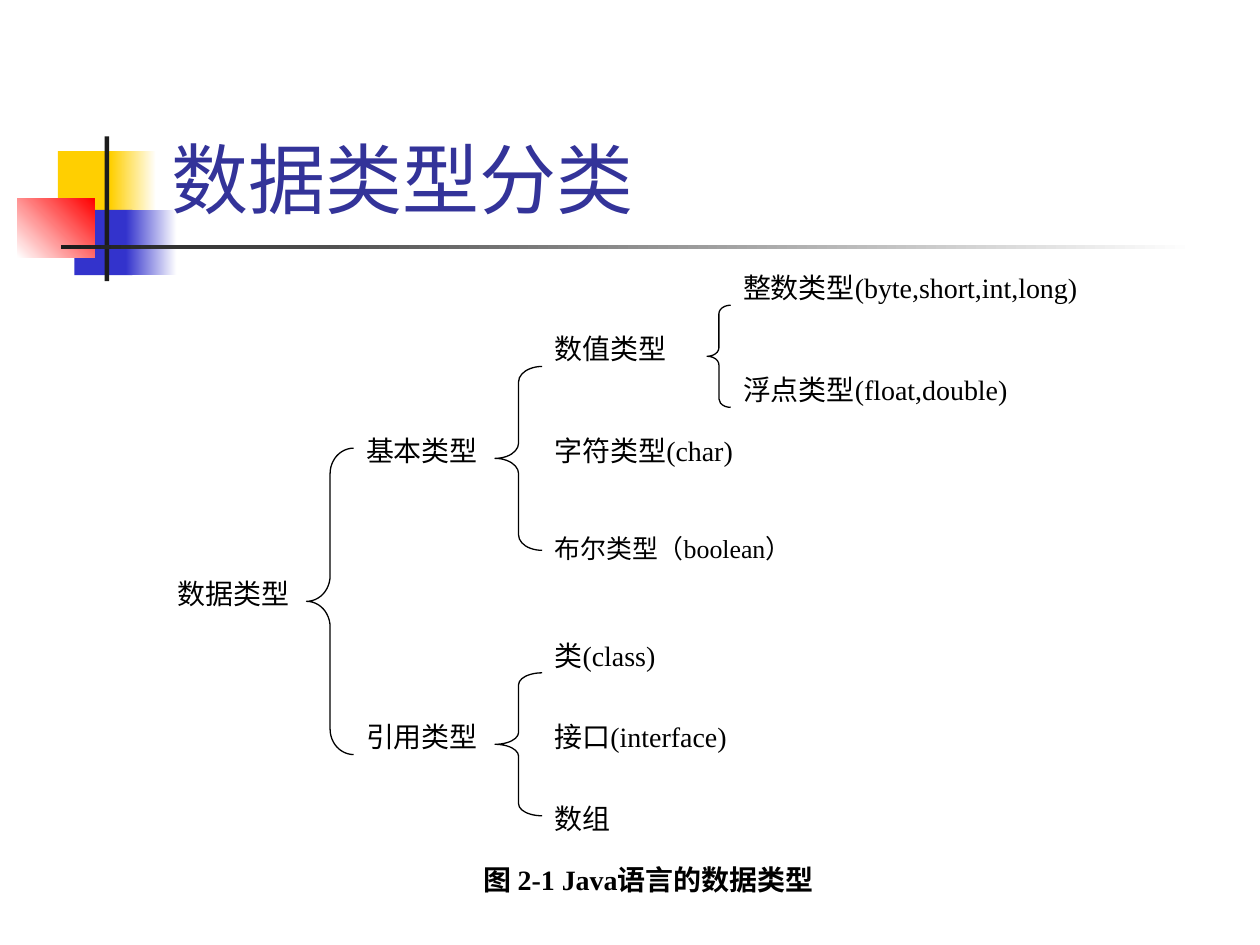
from dataclasses import dataclass

import pptx
import pptx.dml.color
import pptx.enum.shapes
import pptx.enum.text
import pptx.util

Cm = pptx.util.Cm
Align = pptx.enum.text.PP_ALIGN
Anchor = pptx.enum.text.MSO_ANCHOR
Shape = pptx.enum.shapes.MSO_SHAPE


@dataclass(frozen=True)
class Theme:
    yellow: str = "FFCF01"
    blue: str = "3333CC"
    red: str = "FF0000"
    dark: str = "1C1C1C"
    white: str = "FFFFFF"
    title: str = "333399"
    ink: str = "000000"
    title_font: str = "Roboto"
    body_font: str = "Times New Roman"
    title_size: float = 44
    body_size: float = 16
    small_size: float = 14.8
    line_width: float = 0.75


THEME = Theme()

# The tree lies on a fine grid: 24 columns to the last level, 29 rows to the caption.
GRID_LEFT, GRID_TOP = 3.33, 5.33
COLUMN, ROW = 11.4 / 24, 11.94 / 29
LABEL_ROWS = 3

# text, column, row, columns wide
LABELS = [
    ("数据类型", 0, 15, 7),
    ("基本类型", 8, 8, 7),
    ("引用类型", 8, 22, 7),
    ("数值类型", 16, 3, 7),
    ("字符类型(char) ", 16, 8, 10),
    ("整数类型(byte,short,int,long)", 24, 0, 16),
    ("浮点类型(float,double)", 24, 5, 13),
    ("类(class)", 16, 18, 9),
    ("接口(interface)", 16, 22, 9),
    ("数组", 16, 26, 6),
]

# column, row, columns wide, rows high
BRACES = [(6, 9, 2, 15), (14, 5, 2, 9), (23, 2, 1, 5), (14, 20, 2, 7)]


def rgb(colour):
    return pptx.dml.color.RGBColor.from_string(colour)


def grid_box(column, row, columns, rows=LABEL_ROWS):
    """Turn grid cells into left, top, width and height."""
    return (Cm(GRID_LEFT + column * COLUMN), Cm(GRID_TOP + row * ROW),
            Cm(columns * COLUMN), Cm(rows * ROW))


def add_bar(slide, box, start, end=None, angle=0):
    """Add a rectangle, plain or with a gradient from start to end."""
    shape = slide.shapes.add_shape(Shape.RECTANGLE, *map(Cm, box))
    shape.shadow.inherit = False
    shape.line.fill.background()
    if end is None:
        shape.fill.solid()
        shape.fill.fore_color.rgb = rgb(start)
        return
    shape.fill.gradient()
    shape.fill.gradient_angle = angle
    for stop, colour in zip(shape.fill.gradient_stops, (start, end)):
        stop.color.rgb = rgb(colour)


def add_text(slide, text, box, size=THEME.body_size, font=THEME.body_font,
             colour=THEME.ink, bold=False, align=Align.JUSTIFY,
             anchor=Anchor.TOP, spacing=None, fill=None):
    shape = slide.shapes.add_textbox(*box)
    if fill:
        shape.fill.solid()
        shape.fill.fore_color.rgb = rgb(fill)
    frame = shape.text_frame
    frame.word_wrap = True
    frame.vertical_anchor = anchor
    paragraph = frame.paragraphs[0]
    paragraph.alignment = align
    if spacing:
        paragraph.line_spacing = spacing
    run = paragraph.add_run()
    run.text = text
    run.font.name = font
    run.font.size = pptx.util.Pt(size)
    run.font.bold = bold
    run.font.color.rgb = rgb(colour)


def add_brace(slide, box):
    shape = slide.shapes.add_shape(Shape.LEFT_BRACE, *box)
    shape.shadow.inherit = False
    shape.fill.background()
    shape.line.color.rgb = rgb(THEME.ink)
    shape.line.width = pptx.util.Pt(THEME.line_width)
    # Each curve takes a twelfth of the height.
    shape.adjustments[0] = shape.height / 12 / shape.width


def add_ornament(slide):
    add_bar(slide, (1.17, 3.05, 1.22, 1.32), THEME.yellow)
    add_bar(slide, (2.23, 3.05, 0.92, 1.32), THEME.yellow, THEME.white)
    add_bar(slide, (1.5, 4.23, 1.17, 1.32), THEME.blue)
    add_bar(slide, (2.54, 4.23, 1.02, 1.32), THEME.blue, THEME.white)
    add_bar(slide, (0.35, 4.01, 1.56, 1.18), THEME.white, THEME.red, angle=45)
    add_bar(slide, (2.11, 2.75, 0.09, 2.92), THEME.dark)
    add_bar(slide, (1.23, 4.94, 22.86, 0.09), THEME.dark, THEME.white)


def main():
    presentation = pptx.Presentation()
    presentation.slide_width, presentation.slide_height = Cm(25.4), Cm(19.05)
    slide = presentation.slides.add_slide(presentation.slide_layouts[6])

    add_ornament(slide)
    add_text(slide, "数据类型分类", (Cm(3.2), Cm(0.58), Cm(21.64), Cm(4.06)),
             size=THEME.title_size, font=THEME.title_font, colour=THEME.title,
             align=Align.LEFT, anchor=Anchor.BOTTOM)
    for brace in BRACES:
        add_brace(slide, grid_box(*brace))
    for text, *cells in LABELS:
        add_text(slide, text, grid_box(*cells))
    add_text(slide, "布尔类型（boolean）", grid_box(16, 13, 12),
             size=THEME.small_size, spacing=0.9)
    add_text(slide, "图 2-1 Java语言的数据类型", grid_box(5, 29, 31),
             bold=True, align=Align.CENTER, fill=THEME.white)

    presentation.save("out.pptx")


if __name__ == "__main__":
    main()
